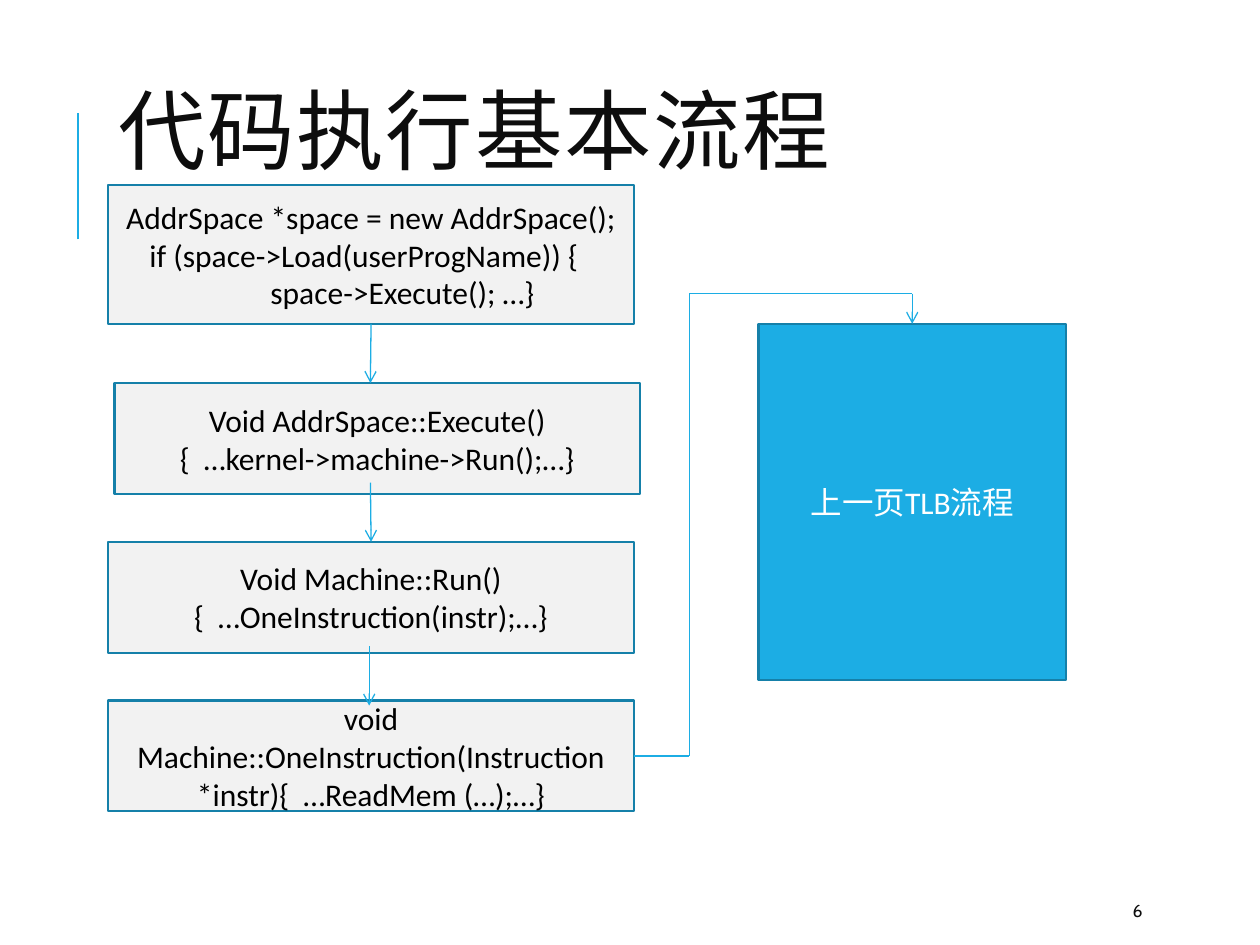
"""Build the slide showing the basic code execution flow."""
from dataclasses import dataclass
from typing import Optional

from lxml.etree import SubElement
from pptx import Presentation
from pptx.dml.color import RGBColor
from pptx.enum.shapes import MSO_CONNECTOR, MSO_SHAPE
from pptx.enum.text import MSO_ANCHOR, MSO_AUTO_SIZE, PP_ALIGN
from pptx.oxml.ns import qn
from pptx.shapes.autoshape import Shape
from pptx.shapes.connector import Connector
from pptx.slide import Slide
from pptx.util import Inches, Pt

BLUE = "1CADE4"
DARK_BLUE = "1580A9"
LIGHT_GRAY = "F2F2F2"
NEAR_BLACK = "0D0D0D"
TOP, RIGHT = 0, 3


@dataclass
class Box:
    name: str
    left: float
    top: float
    width: float
    height: float
    lines: list[str]
    fill: str = LIGHT_GRAY
    color: str = "000000"


@dataclass
class Link:
    start: tuple[float, float]
    end: tuple[float, float]
    arrow: bool = True
    begin_box: Optional[str] = None
    begin_site: int = 2
    end_box: Optional[str] = None
    width: float = 0.75


BOXES = [
    Box("load", 0.86, 1.47, 4.17, 1.1, [
        "AddrSpace *space = new AddrSpace();",
        "if (space->Load(userProgName)) {  ",
        "\tspace->Execute(); …}",
    ]),
    Box("execute", 0.91, 3.04, 4.17, 0.88, [
        "Void AddrSpace::Execute()",
        "{  …kernel->machine->Run();…}",
    ]),
    Box("run", 0.86, 4.3, 4.17, 0.88, [
        "Void Machine::Run()",
        "{  …OneInstruction(instr);…}",
    ]),
    Box("instruction", 0.86, 5.56, 4.17, 0.88, [
        "void Machine::OneInstruction(Instruction *instr){  …ReadMem (…);…}",
    ]),
    Box("tlb", 6.02, 2.57, 2.44, 2.83, ["上一页TLB流程"], BLUE, "FFFFFF"),
]

LINKS = [
    Link((0.62, 1.9), (0.62, 0.9), arrow=False, width=1.5),
    Link((2.94, 2.57), (2.94, 3.04), begin_box="load"),
    Link((2.94, 3.83), (2.94, 4.3), end_box="run"),
    Link((2.93, 5.13), (2.93, 5.6)),
    Link((5.03, 6), (5.47, 6), arrow=False, begin_box="instruction", begin_site=RIGHT),
    Link((5.47, 6), (5.47, 2.33), arrow=False),
    Link((5.47, 2.33), (7.24, 2.33), arrow=False),
    Link((7.24, 2.33), (7.24, 2.57), end_box="tlb"),
]


def rgb(value: str) -> RGBColor:
    return RGBColor.from_string(value)


def write_lines(shape: Shape, lines: list[str], size: float, font: str, color: str,
                alignment: PP_ALIGN) -> None:
    frame = shape.text_frame
    frame.word_wrap = True
    frame.auto_size = MSO_AUTO_SIZE.NONE
    frame.vertical_anchor = MSO_ANCHOR.MIDDLE
    for index, line in enumerate(lines):
        paragraph = frame.add_paragraph() if index else frame.paragraphs[0]
        paragraph.alignment = alignment
        run = paragraph.add_run()
        run.text = line
        run.font.size = Pt(size)
        run.font.name = font
        run.font.color.rgb = rgb(color)


def add_title(slide: Slide, text: str) -> None:
    title = slide.shapes.title
    title.left, title.top = Inches(0.84), Inches(0.64)
    title.width, title.height = Inches(7.97), Inches(0.91)
    write_lines(title, [text], 50, "Cabin", NEAR_BLACK, PP_ALIGN.LEFT)
    paragraph = title.text_frame.paragraphs[0]
    paragraph.line_spacing = 0.8
    paragraph.runs[0].font._element.set("spc", "100")


def add_page_number(slide: Slide, number: str) -> None:
    text_box = slide.shapes.add_textbox(Inches(8.89), Inches(7.08), Inches(0.8), Inches(0.3))
    write_lines(text_box, [number], 10, "Cabin", NEAR_BLACK, PP_ALIGN.LEFT)


def add_box(slide: Slide, box: Box) -> Shape:
    shape = slide.shapes.add_shape(
        MSO_SHAPE.RECTANGLE, Inches(box.left), Inches(box.top),
        Inches(box.width), Inches(box.height))
    shape.shadow.inherit = False
    shape.fill.solid()
    shape.fill.fore_color.rgb = rgb(box.fill)
    shape.line.color.rgb = rgb(DARK_BLUE)
    shape.line.width = Pt(1.25)
    write_lines(shape, box.lines, 18, "Calibri", box.color, PP_ALIGN.CENTER)
    return shape


def add_link(slide: Slide, link: Link, shapes: dict[str, Shape]) -> Connector:
    connector = slide.shapes.add_connector(
        MSO_CONNECTOR.STRAIGHT, *map(Inches, link.start + link.end))
    connector.line.color.rgb = rgb(BLUE)
    connector.line.width = Pt(link.width)
    if link.arrow:
        SubElement(connector.line._get_or_add_ln(), qn("a:tailEnd"), type="arrow")
    SubElement(connector._element.spPr, qn("a:effectLst"))
    if link.begin_box:
        connector.begin_connect(shapes[link.begin_box], link.begin_site)
    if link.end_box:
        connector.end_connect(shapes[link.end_box], TOP)
    return connector


def main() -> None:
    presentation = Presentation()
    presentation.slide_width, presentation.slide_height = Inches(10), Inches(7.5)
    slide = presentation.slides.add_slide(presentation.slide_layouts[5])
    add_title(slide, "代码执行基本流程")
    add_page_number(slide, "6")
    shapes = {box.name: add_box(slide, box) for box in BOXES}
    for link in LINKS:
        add_link(slide, link, shapes)
    presentation.save("out.pptx")


if __name__ == "__main__":
    main()
